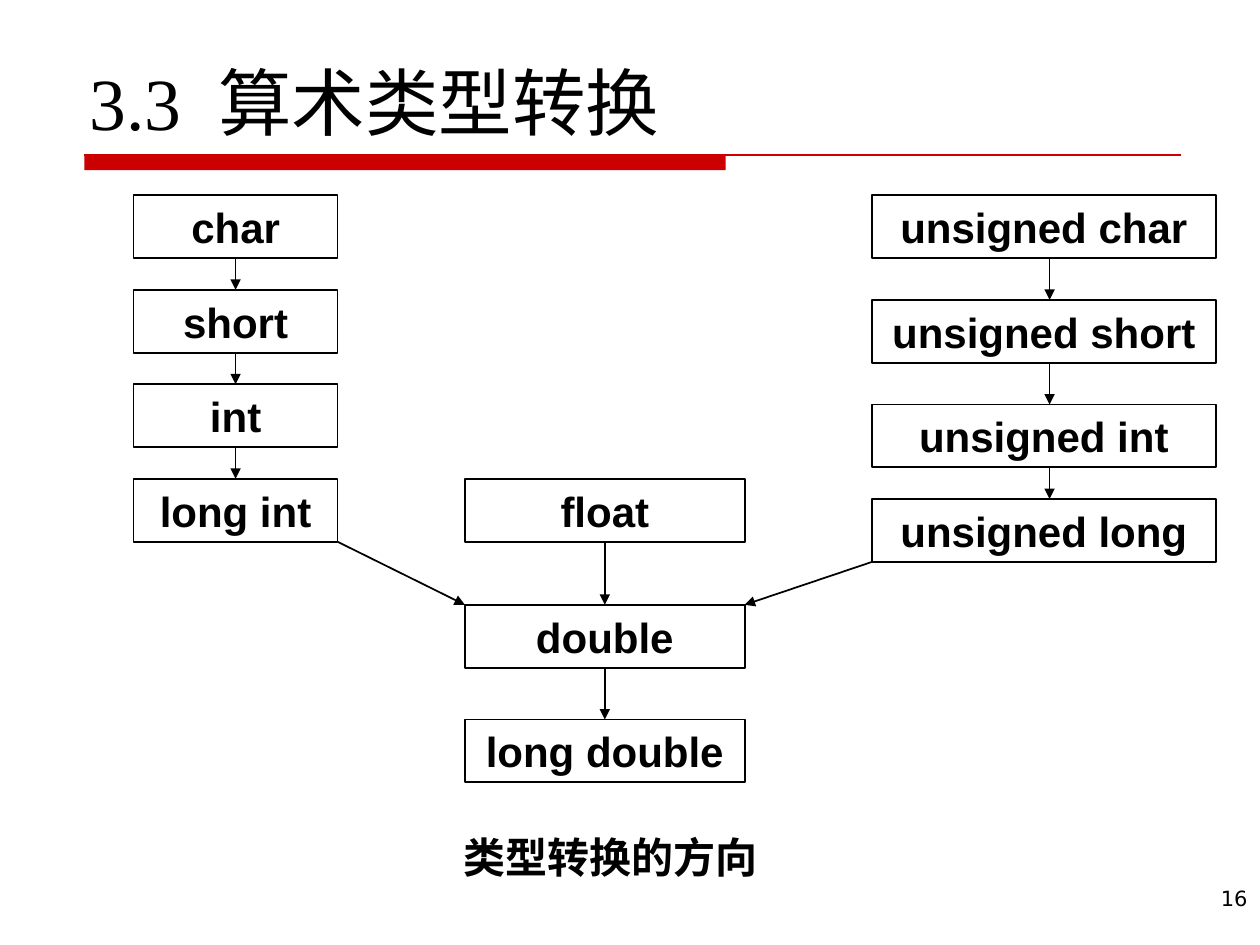
from dataclasses import dataclass
from itertools import pairwise

from lxml.etree import SubElement
from pptx import Presentation
from pptx.dml.color import RGBColor
from pptx.enum.shapes import MSO_CONNECTOR, MSO_SHAPE
from pptx.enum.text import MSO_ANCHOR, PP_ALIGN
from pptx.oxml.ns import qn
from pptx.util import Inches, Pt


@dataclass(frozen=True)
class Theme:
    ink: RGBColor = RGBColor(0x00, 0x00, 0x00)
    accent: RGBColor = RGBColor(0xCC, 0x00, 0x00)
    title_size: int = 42
    body_size: int = 24
    number_size: int = 12
    title_font: str = "Times New Roman"
    box_font: str = "Arial"
    chinese_font: str = "Noto Sans CJK SC"
    number_font: str = "DejaVu Sans"


@dataclass(frozen=True)
class Area:
    """Place in grid columns and rows."""
    left: float
    top: float
    width: float
    height: float


@dataclass(frozen=True)
class Chain:
    """Types converted from top to bottom, with the row where each starts."""
    left: float
    width: float
    steps: tuple[tuple[str, float], ...]
    arrow_shift: float = 0


THEME = Theme()
COLUMNS, ROWS = 100, 75
BOX_ROWS = 5

deck = Presentation()
deck.slide_width, deck.slide_height = Inches(10), Inches(7.5)
slide = deck.slides.add_slide(deck.slide_layouts[6])

SIGNED = Chain(10.6, 16.2, (("char", 15.5), ("short", 23), ("int", 30.5), ("long int", 38)))
UNSIGNED = Chain(69.2, 27.3, (("unsigned char", 15.5), ("unsigned short", 23.8),
                              ("unsigned int", 32.1), ("unsigned long", 39.6)), 0.45)
FLOATING = Chain(36.9, 22.2, (("float", 38), ("double", 48), ("long double", 57.1)))


def across(columns: float) -> int:
    return round(deck.slide_width * columns / COLUMNS)


def down(rows: float) -> int:
    return round(deck.slide_height * rows / ROWS)


def place(area: Area) -> tuple[int, int, int, int]:
    return across(area.left), down(area.top), across(area.width), down(area.height)


def write(box, text: str, size: int, font: str, align=PP_ALIGN.LEFT, bold=False, **frame_format):
    frame = box.text_frame
    for name, value in {"word_wrap": True, **frame_format}.items():
        setattr(frame, name, value)
    para = frame.paragraphs[0]
    para.alignment = align
    span = para.add_run()
    span.text = text
    for name, value in {"size": Pt(size), "name": font, "bold": bold}.items():
        setattr(span.font, name, value)
    span.font.color.rgb = THEME.ink
    SubElement(span.font._element, qn("a:ea"), typeface=THEME.chinese_font)
    return span


def add_text(area: Area, text: str, size: int, font: str, **text_format):
    box = slide.shapes.add_textbox(*place(area))
    return write(box, text, size, font, **text_format)


def add_type_box(area: Area, text: str):
    box = slide.shapes.add_shape(MSO_SHAPE.RECTANGLE, *place(area))
    box.shadow.inherit = False
    box.fill.background()
    box.line.color.rgb = THEME.ink
    box.line.width = Pt(1)
    write(box, text, THEME.body_size, THEME.box_font, PP_ALIGN.CENTER, True,
          vertical_anchor=MSO_ANCHOR.MIDDLE)
    return box


def add_line(start: tuple[int, int], end: tuple[int, int], color: RGBColor,
             width: float = 1, arrow: bool = True):
    line = slide.shapes.add_connector(MSO_CONNECTOR.STRAIGHT, *start, *end)
    line.line.color.rgb = color
    line.line.width = Pt(width)
    if arrow:
        SubElement(line.line._get_or_add_ln(), qn("a:tailEnd"), type="triangle")
    SubElement(line._element.spPr, qn("a:effectLst"))
    return line


def draw_chain(chain: Chain) -> list:
    boxes = [add_type_box(Area(chain.left, top, chain.width, BOX_ROWS), name)
             for name, top in chain.steps]
    arrow_x = across(chain.left + chain.width / 2 + chain.arrow_shift)
    for upper, lower in pairwise(boxes):
        arrow = add_line((arrow_x, upper.top + upper.height), (arrow_x, lower.top), THEME.ink)
        if not chain.arrow_shift:
            arrow.begin_connect(upper, 2)
            arrow.end_connect(lower, 0)
    return boxes


def draw_title():
    band = slide.shapes.add_shape(MSO_SHAPE.RECTANGLE, *place(Area(6.7, 12.3, 50.9, 1.2)))
    band.shadow.inherit = False
    band.fill.solid()
    band.fill.fore_color.rgb = THEME.accent
    band.line.fill.background()
    add_line((across(6.7), down(12.3)), (across(93.7), down(12.3)), THEME.accent, 0.75, False)
    title = add_text(Area(6.3, 4.1, 87.5, 7.4), "3.3", THEME.title_size, THEME.title_font,
                     vertical_anchor=MSO_ANCHOR.BOTTOM, margin_left=across(0.8), margin_bottom=0)
    box = slide.shapes[-1]
    for text, spacing in ((" ", "1050"), ("算术类型转换", "0")):
        span = box.text_frame.paragraphs[0].add_run()
        span.text = text
        span.font.size, span.font.name = title.font.size, title.font.name
        span.font.color.rgb = THEME.ink
        span.font._element.set("spc", spacing)
        SubElement(span.font._element, qn("a:ea"), typeface=THEME.chinese_font)


def main():
    draw_title()
    signed, unsigned, floating = map(draw_chain, (SIGNED, UNSIGNED, FLOATING))
    long_int, unsigned_long, double = signed[-1], unsigned[-1], floating[1]
    add_line((long_int.left + long_int.width, long_int.top + long_int.height),
             (double.left, double.top), THEME.ink)
    add_line((unsigned_long.left, unsigned_long.top + unsigned_long.height),
             (double.left + double.width, double.top), THEME.ink)
    add_text(Area(35.8, 65.5, 30.3, 5.8), "类型转换的方向", THEME.body_size,
             THEME.chinese_font, bold=True)
    add_text(Area(78.6, 69.8, 21.4, 5.2), "16", THEME.number_size, THEME.number_font,
             align=PP_ALIGN.RIGHT)
    deck.save("out.pptx")


if __name__ == "__main__":
    main()
